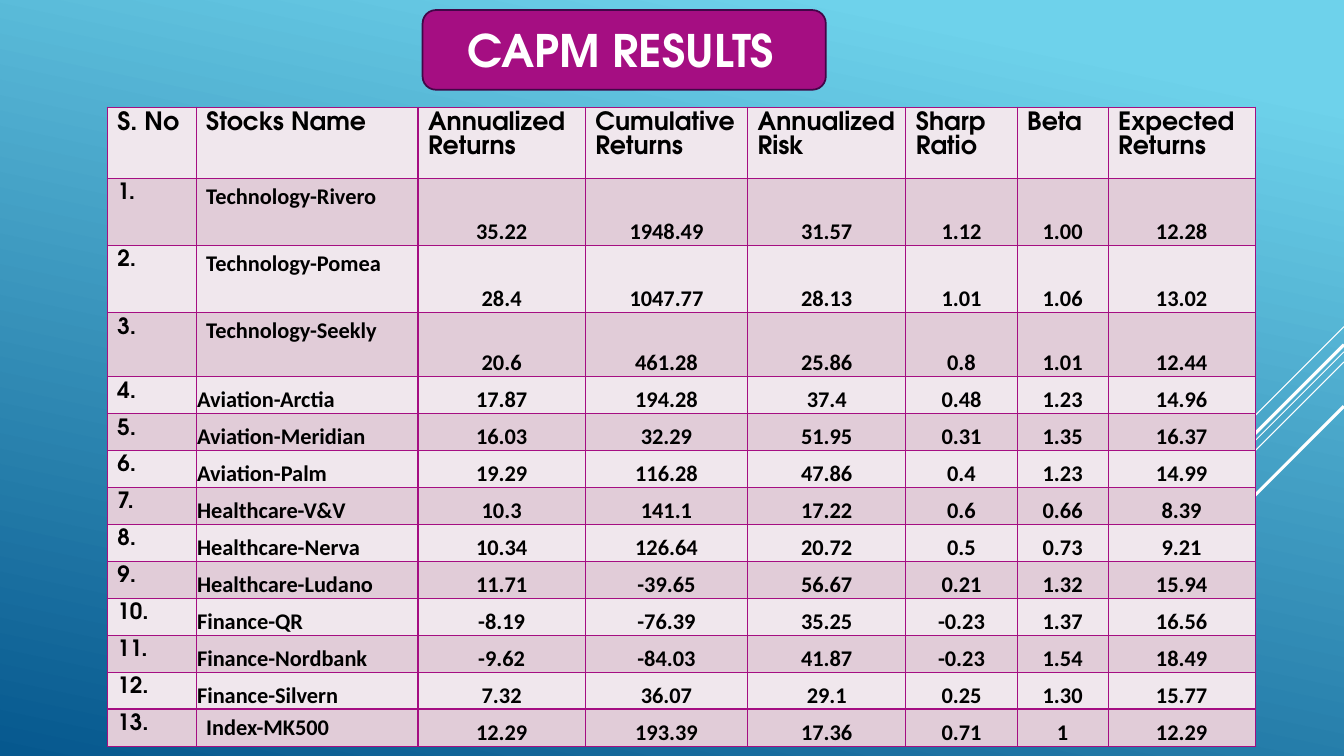
"""Build the CAPM results slide: a title badge above a table of stock measures."""
from dataclasses import dataclass

from lxml import etree
from pptx import Presentation
from pptx.dml.color import RGBColor
from pptx.enum.shapes import MSO_CONNECTOR, MSO_SHAPE
from pptx.enum.text import MSO_ANCHOR, MSO_AUTO_SIZE, PP_ALIGN
from pptx.oxml.ns import qn
from pptx.util import Pt

STRAIGHT = MSO_CONNECTOR.STRAIGHT
ROUNDED = MSO_SHAPE.ROUNDED_RECTANGLE
TOP, BOTTOM = MSO_ANCHOR.TOP, MSO_ANCHOR.BOTTOM
LEFT, CENTER = PP_ALIGN.LEFT, PP_ALIGN.CENTER
NO_AUTOFIT = MSO_AUTO_SIZE.NONE


@dataclass(frozen=True)
class Theme:
    """Colours, fonts and type sizes of the slide."""
    sky: str = "6ED2EB"
    sea: str = "06588E"
    white: str = "FFFFFF"
    black: str = "000000"
    magenta: str = "A50E82"
    plum: str = "420648"
    bands: tuple = ("F0E7ED", "E1CCD8")
    heading_font: str = "TeX Gyre Adventor"
    body_font: str = "Calibri"
    title_size: int = 32
    header_size: int = 18
    body_size: int = 16


THEME = Theme()
TITLE = "CAPM RESULTS"
HEADERS = ("S. No", "Stocks Name", "Annualized Returns", "Cumulative Returns",
           "Annualized Risk", "Sharp Ratio", "Beta", "Expected Returns")
STOCKS = (
    ("Technology-Rivero", "35.22", "1948.49", "31.57", "1.12", "1.00", "12.28"),
    ("Technology-Pomea", "28.4", "1047.77", "28.13", "1.01", "1.06", "13.02"),
    ("Technology-Seekly", "20.6", "461.28", "25.86", "0.8", "1.01", "12.44"),
    ("Aviation-Arctia", "17.87", "194.28", "37.4", "0.48", "1.23", "14.96"),
    ("Aviation-Meridian", "16.03", "32.29", "51.95", "0.31", "1.35", "16.37"),
    ("Aviation-Palm", "19.29", "116.28", "47.86", "0.4", "1.23", "14.99"),
    ("Healthcare-V&V", "10.3", "141.1", "17.22", "0.6", "0.66", "8.39"),
    ("Healthcare-Nerva", "10.34", "126.64", "20.72", "0.5", "0.73", "9.21"),
    ("Healthcare-Ludano", "11.71", "-39.65", "56.67", "0.21", "1.32", "15.94"),
    ("Finance-QR", "-8.19", "-76.39", "35.25", "-0.23", "1.37", "16.56"),
    ("Finance-Nordbank", "-9.62", "-84.03", "41.87", "-0.23", "1.54", "18.49"),
    ("Finance-Silvern", "7.32", "36.07", "29.1", "0.25", "1.30", "15.77"),
    ("Index-MK500", "12.29", "193.39", "17.36", "0.71", "1", "12.29"),
)
INSET_NAMES = {1, 2, 3, len(STOCKS)}

SLIDE_WIDTH, SLIDE_HEIGHT = 960, 540
BADGE = (301.9, 7.2, 288, 56.9)
TITLE_BOX = (326.7, 12.6, 238.3, 46)
TABLE_LEFT, TABLE_TOP = 76.6, 76.5
COLUMN_WIDTHS = (63.5, 158.5, 119.5, 116, 113, 79.5, 65, 105)
ROW_HEIGHTS = (50.8, 48, 48, 45.7) + (26.4,) * 10
TIGHT_MARGIN = 0.7
BORDER_WIDTH = 1
RAYS = ((233.3, 72, 0.75), (251.3, 234.7, 0.75), (258.5, 149, 0.75),
        (246.2, 137.5, 2.25), (290.2, 100, 2.25))


def color(value):
    """Turn a hex string into a colour."""
    return RGBColor.from_string(value)


def points(values):
    """Turn plain numbers into point lengths."""
    return [Pt(value) for value in values]


def style_text(frame, text, font, size, ink, align):
    """Put one bold paragraph into a text frame."""
    frame.text = text
    para = frame.paragraphs[0]
    para.alignment = align
    para.font.name, para.font.size = font, Pt(size)
    para.font.bold = True
    para.font.color.rgb = color(ink)


def paint_background(page):
    """Fill the page with the sky gradient."""
    fill = page.background.fill
    fill.gradient()
    fill.gradient_angle = 258
    stops = zip(fill.gradient_stops, (0.1, 1), (THEME.sky, THEME.sea))
    for stop, position, shade in stops:
        stop.position = position
        stop.color.rgb = color(shade)


def add_rays(page):
    """Draw the diagonal rays that start at the right edge."""
    for top, run, width in RAYS:
        ends = points((SLIDE_WIDTH, top, SLIDE_WIDTH - run, top + run))
        ray = page.shapes.add_connector(STRAIGHT, *ends)
        ray.line.color.rgb = color(THEME.white)
        ray.line.width = Pt(width)
        etree.SubElement(ray.element.spPr, qn("a:effectLst"))


def add_title(page):
    """Draw the badge and place the title on it."""
    badge = page.shapes.add_shape(ROUNDED, *points(BADGE))
    badge.shadow.inherit = False
    badge.fill.solid()
    badge.fill.fore_color.rgb = color(THEME.magenta)
    badge.line.color.rgb = color(THEME.plum)
    badge.line.width = Pt(1.25)
    title = page.shapes.title
    title.left, title.top, title.width, title.height = points(TITLE_BOX)
    frame = title.text_frame
    frame.word_wrap = True
    frame.auto_size = NO_AUTOFIT
    frame.vertical_anchor = TOP
    style_text(frame, TITLE, THEME.heading_font, THEME.title_size, THEME.white, LEFT)
    badge.element.addnext(title.element)


def add_borders(cell):
    """Outline all four sides of a cell."""
    properties = cell._tc.get_or_add_tcPr()
    for side in ("lnL", "lnR", "lnT", "lnB"):
        line = etree.SubElement(properties, qn(f"a:{side}"), w=str(Pt(BORDER_WIDTH)))
        fill = etree.SubElement(line, qn("a:solidFill"))
        etree.SubElement(fill, qn("a:srgbClr"), val=THEME.magenta)


def fill_cell(cell, text, row, column):
    """Write and format one table cell by its place in the grid."""
    heading = row == 0 or column == 0
    tight = not heading and (column > 1 or row not in INSET_NAMES)
    font = THEME.heading_font if heading else THEME.body_font
    size = THEME.body_size if row else THEME.header_size
    align = CENTER if tight and column > 1 else LEFT
    style_text(cell.text_frame, text, font, size, THEME.black, align)
    if tight:
        cell.vertical_anchor = BOTTOM
        cell.margin_left = cell.margin_right = cell.margin_top = Pt(TIGHT_MARGIN)
        cell.margin_bottom = 0
    add_borders(cell)
    cell.fill.solid()
    cell.fill.fore_color.rgb = color(THEME.bands[row % 2])


def add_results(page):
    """Add the table of results."""
    rows = [HEADERS] + [(f"{number}.", *stock) for number, stock in enumerate(STOCKS, 1)]
    box = points((TABLE_LEFT, TABLE_TOP, sum(COLUMN_WIDTHS), sum(ROW_HEIGHTS)))
    table = page.shapes.add_table(len(rows), len(HEADERS), *box).table
    for column, width in zip(table.columns, COLUMN_WIDTHS):
        column.width = Pt(width)
    for row, height in zip(table.rows, ROW_HEIGHTS):
        row.height = Pt(height)
    for row, values in enumerate(rows):
        for column, text in enumerate(values):
            fill_cell(table.cell(row, column), text, row, column)


def main():
    """Build and save the deck."""
    deck = Presentation()
    deck.slide_width, deck.slide_height = points((SLIDE_WIDTH, SLIDE_HEIGHT))
    page = deck.slides.add_slide(deck.slide_layouts.get_by_name("Title Only"))
    paint_background(page)
    add_rays(page)
    add_title(page)
    add_results(page)
    deck.save("out.pptx")


if __name__ == "__main__":
    main()
